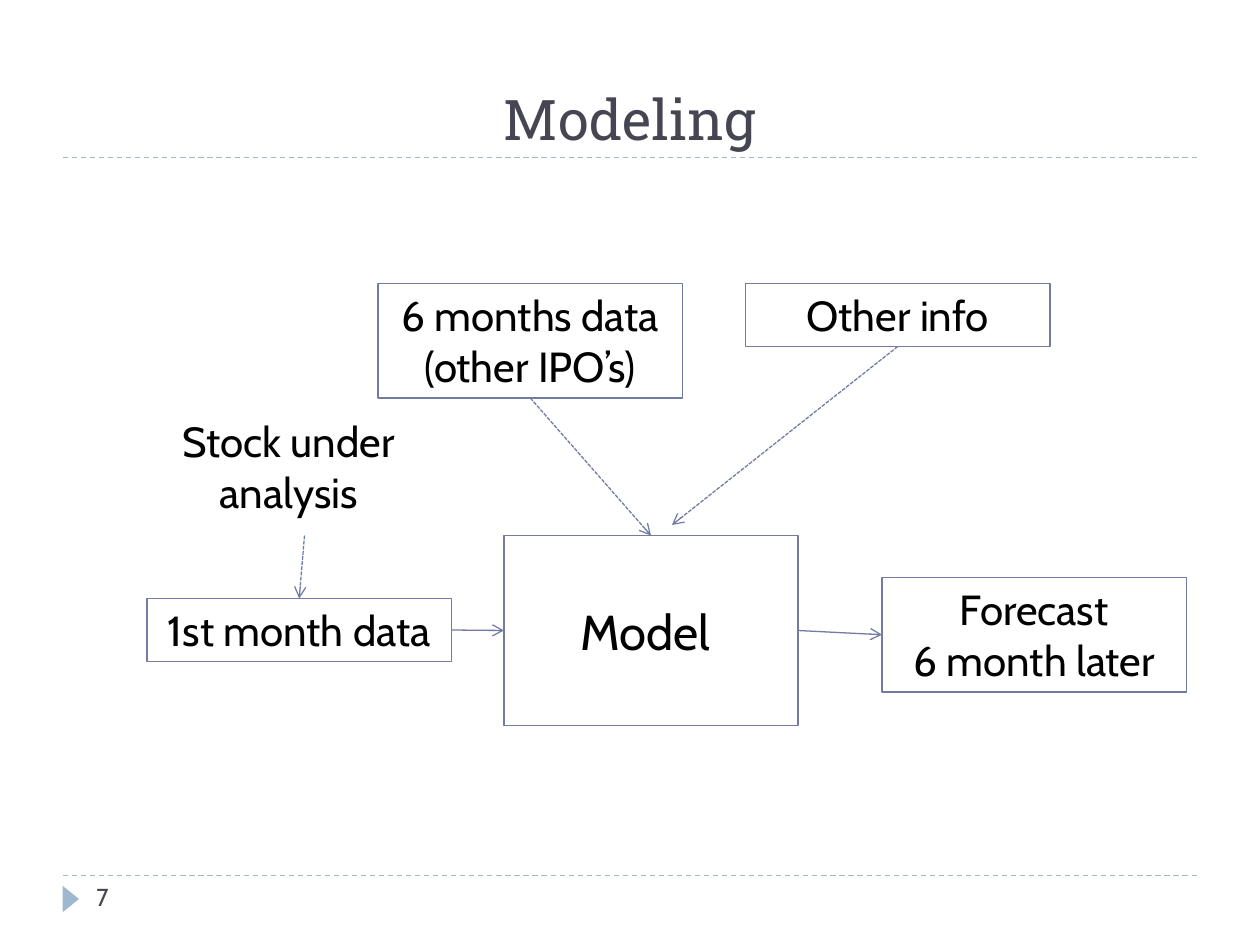
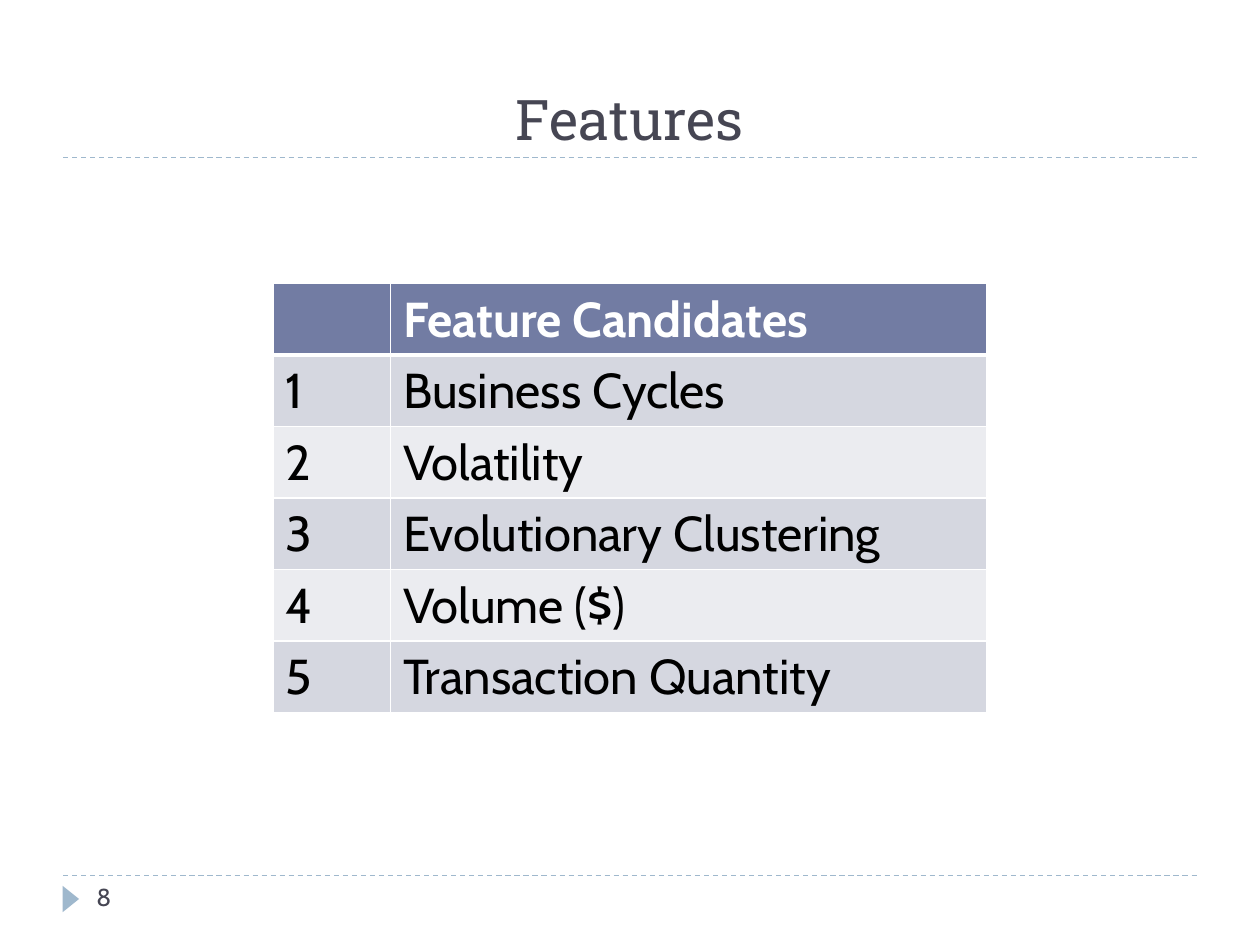
from lxml.etree import SubElement
from pptx import Presentation
from pptx.dml.color import RGBColor
from pptx.enum.dml import MSO_LINE
from pptx.enum.shapes import MSO_CONNECTOR, MSO_SHAPE
from pptx.enum.text import MSO_ANCHOR, PP_ALIGN
from pptx.oxml.ns import qn
from pptx.util import Inches, Pt

CELLS_PER_INCH = 12
TOP, LEFT, BOTTOM, RIGHT = range(4)


def grid(cells):
    return Inches(cells / CELLS_PER_INCH)


def color(value):
    return RGBColor.from_string(value)


class SlideBuilder:
    heading_font = "Roboto Slab"
    body_font = "Cabin"
    ink = "000000"
    muted = "464653"
    accent = "727CA3"
    pale = "9FB8CD"
    white = "FFFFFF"
    bands = ("EBECF0", "D5D7E0")

    def __init__(self):
        self.deck = Presentation()
        self.deck.slide_width = grid(120)
        self.deck.slide_height = grid(90)
        self.page = None

    def new_page(self, title, number):
        self.page = self.deck.slides.add_slide(self.deck.slide_layouts[6])
        for row in (83.4, 15):
            self.line((6, row), (114, row), self.pale, MSO_LINE.DASH)
        marker = self.shape(MSO_SHAPE.ISOSCELES_TRIANGLE, (5.5, 84.84, 2.5, 1.56))
        marker.rotation = 90
        marker.fill.solid()
        marker.fill.fore_color.rgb = color(self.pale)
        marker.line.fill.background()
        self.text((6, 2, 108, 13), title, 32, self.muted, self.heading_font,
                  anchor=MSO_ANCHOR.BOTTOM)
        self.text((8, 83.4, 26, 4.8), number, 14, self.muted, align=PP_ALIGN.LEFT)

    def shape(self, kind, area):
        shape = self.page.shapes.add_shape(kind, *map(grid, area))
        shape.shadow.inherit = False
        return shape

    def set_text(self, frame, content, size, ink, font=body_font,
                 align=PP_ALIGN.CENTER, bold=False):
        frame.text = content
        for para in frame.paragraphs:
            para.alignment = align
            for span in para.runs:
                span.font.name = font
                span.font.size = Pt(size)
                span.font.bold = bold
                span.font.color.rgb = color(ink)

    def text(self, area, content, size, ink=ink, font=body_font,
             align=PP_ALIGN.CENTER, anchor=MSO_ANCHOR.TOP):
        box = self.page.shapes.add_textbox(*map(grid, area))
        box.text_frame.word_wrap = True
        box.text_frame.vertical_anchor = anchor
        self.set_text(box.text_frame, content, size, ink, font, align)

    def outlined_box(self, area, content, size=24, anchor=MSO_ANCHOR.TOP):
        box = self.shape(MSO_SHAPE.RECTANGLE, area)
        box.fill.background()
        box.line.color.rgb = color(self.accent)
        box.line.width = Pt(0.75)
        box.text_frame.word_wrap = True
        box.text_frame.vertical_anchor = anchor
        self.set_text(box.text_frame, content, size, self.ink)
        return box

    def line(self, start, end, ink, dash=None):
        line = self.page.shapes.add_connector(
            MSO_CONNECTOR.STRAIGHT, *map(grid, (*start, *end)))
        line.line.color.rgb = color(ink)
        line.line.width = Pt(0.75)
        if dash:
            line.line.dash_style = dash
        SubElement(line._element.spPr, qn("a:effectLst"))
        return line

    def arrow(self, start=(0, 0), end=(0, 0), source=None, target=None, dash=None):
        arrow = self.line(start, end, self.accent, dash)
        outline = arrow._element.spPr.find(qn("a:ln"))
        SubElement(outline, qn("a:tailEnd"), type="arrow")
        if source:
            arrow.begin_connect(*source)
        if target:
            arrow.end_connect(*target)

    def border(self, cell, side, width):
        edge = SubElement(cell._tc.get_or_add_tcPr(), qn(f"a:ln{side}"), w=str(Pt(width)))
        fill = SubElement(edge, qn("a:solidFill"))
        SubElement(fill, qn("a:srgbClr"), val=self.white)

    def table(self, left, top, widths, row_height, rows):
        area = (left, top, sum(widths), row_height * len(rows))
        table = self.page.shapes.add_table(
            len(rows), len(widths), *map(grid, area)).table
        for column, width in zip(table.columns, widths):
            column.width = grid(width)
        for row_index, values in enumerate(rows):
            header = row_index == 0
            for column_index, value in enumerate(values):
                cell = table.cell(row_index, column_index)
                for side in "LRTB":
                    thick = (header and side == "B") or (row_index == 1 and side == "T")
                    self.border(cell, side, 3 if thick else 1)
                cell.fill.solid()
                cell.fill.fore_color.rgb = color(
                    self.accent if header else self.bands[row_index % 2])
                self.set_text(cell.text_frame, value, 28,
                              self.white if header else self.ink,
                              align=PP_ALIGN.LEFT, bold=header)


def modeling(builder):
    builder.new_page("Modeling", "7")
    one_line, two_lines = (29, 6), (29, 10.9)
    model = builder.outlined_box((48, 51, 28, 18.1), "Model ", 28, MSO_ANCHOR.MIDDLE)
    builder.text((13, 39, *two_lines), "Stock under analysis", 24)
    first_month = builder.outlined_box((14, 57, *one_line), "1st month data")
    forecast = builder.outlined_box((84, 55, *two_lines), "Forecast\n6 month later")
    six_months = builder.outlined_box((36, 27, *two_lines), "6 months data (other IPO’s)")
    other_info = builder.outlined_box((71, 27, *one_line), "Other info")

    builder.arrow(source=(first_month, RIGHT), target=(model, LEFT))
    builder.arrow(source=(model, RIGHT), target=(forecast, LEFT))
    dash = MSO_LINE.SQUARE_DOT
    builder.arrow(start=(29, 51), target=(first_month, TOP), dash=dash)
    builder.arrow(source=(six_months, BOTTOM), target=(model, TOP), dash=dash)
    builder.arrow(source=(other_info, BOTTOM), end=(64, 50), dash=dash)


def features(builder):
    builder.new_page("Features", "8")
    candidates = ("Business Cycles", "Volatility", "Evolutionary Clustering",
                  "Volume ($)", "Transaction Quantity")
    rows = [("", "Feature Candidates")]
    rows += [(str(rank), name) for rank, name in enumerate(candidates, 1)]
    builder.table(26, 27, (11.2, 56.8), 6.8, rows)


def main():
    builder = SlideBuilder()
    modeling(builder)
    features(builder)
    builder.deck.save("out.pptx")


if __name__ == "__main__":
    main()
